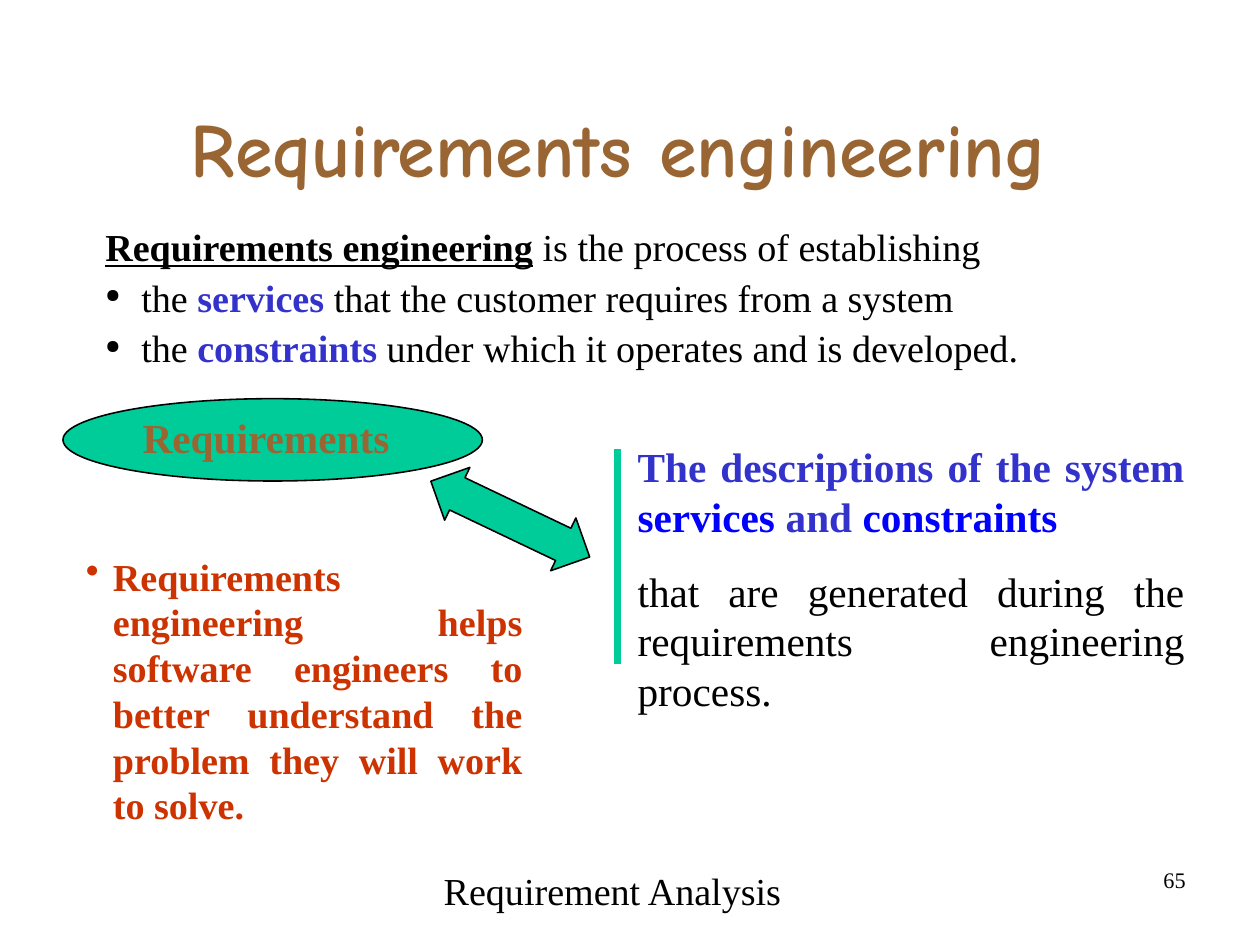
from dataclasses import dataclass

from lxml.etree import SubElement
from pptx import Presentation
from pptx.dml.color import RGBColor
from pptx.enum.shapes import MSO_CONNECTOR as Connector, MSO_SHAPE as Shape
from pptx.enum.text import MSO_ANCHOR as Anchor, MSO_AUTO_SIZE as AutoSize, PP_ALIGN as Align
from pptx.oxml.ns import qn
from pptx.util import Cm, Pt


@dataclass(frozen=True)
class Theme:
    black: str = "000000"
    brown: str = "996633"
    teal: str = "00CC99"
    indigo: str = "3333CC"
    blue: str = "0000FF"
    red: str = "CC3300"
    body_font: str = "Times New Roman"
    title_font: str = "Comic Neue"
    title_size: int = 48
    callout_size: int = 26
    body_size: int = 24
    number_size: int = 14


def add_run(paragraph, text, *, size, font, color, bold=False, underline=False):
    run = paragraph.add_run()
    run.text = text
    run.font.size = Pt(size)
    run.font.name = font
    run.font.bold = bold
    run.font.underline = underline
    run.font.color.rgb = RGBColor.from_string(color)


def add_bullet(paragraph, mark, color, indent, percent):
    props = paragraph._p.get_or_add_pPr()
    props.set("marL", str(Cm(indent)))
    props.set("indent", str(-Cm(indent)))
    SubElement(SubElement(props, qn("a:buClr")), qn("a:srgbClr"), val=color)
    SubElement(props, qn("a:buSzPct"), val=str(percent * 1000))
    SubElement(props, qn("a:buChar"), char=mark)


class SlideBuilder:
    def __init__(self, slide, theme):
        self.slide = slide
        self.theme = theme

    def fill_frame(self, frame, paragraphs, *, size, font=None, align=Align.LEFT,
                   before=0, spacing=1.0, insets=(0.25, 0.13)):
        frame.word_wrap = True
        frame.margin_left = frame.margin_right = Cm(insets[0])
        frame.margin_top = frame.margin_bottom = Cm(insets[1])
        for index, (runs, bullet) in enumerate(paragraphs):
            paragraph = frame.add_paragraph() if index else frame.paragraphs[0]
            paragraph.alignment = align
            paragraph.line_spacing = spacing
            paragraph.space_before = Pt(before)
            if bullet:
                add_bullet(paragraph, **bullet)
            for text, style in runs:
                look = {"color": self.theme.black, **style}
                add_run(paragraph, text, size=size, font=font or self.theme.body_font, **look)

    def title(self, text, box):
        heading = self.slide.shapes.title
        heading.left, heading.top, heading.width, heading.height = map(Cm, box)
        frame = heading.text_frame
        frame.auto_size = AutoSize.NONE
        frame.vertical_anchor = Anchor.BOTTOM
        style = {"color": self.theme.brown, "bold": True}
        self.fill_frame(frame, [([(text, style)], None)], size=self.theme.title_size,
                        font=self.theme.title_font, align=Align.CENTER,
                        spacing=0.94, insets=(0.28, 0.13))

    def text(self, paragraphs, box, **layout):
        frame = self.slide.shapes.add_textbox(*map(Cm, box)).text_frame
        self.fill_frame(frame, paragraphs, **layout)

    def shape(self, kind, box, rotation=0, adjustments=()):
        figure = self.slide.shapes.add_shape(kind, *map(Cm, box))
        figure.shadow.inherit = False
        figure.fill.solid()
        figure.fill.fore_color.rgb = RGBColor.from_string(self.theme.teal)
        figure.line.color.rgb = RGBColor.from_string(self.theme.black)
        figure.line.width = Pt(1)
        figure.rotation = rotation
        for index, value in enumerate(adjustments):
            figure.adjustments[index] = value

    def line(self, ends, width):
        rule = self.slide.shapes.add_connector(Connector.STRAIGHT, *map(Cm, ends))
        rule.line.color.rgb = RGBColor.from_string(self.theme.teal)
        rule.line.width = Pt(width)
        SubElement(rule._element.spPr, qn("a:effectLst"))


def main():
    theme = Theme()
    deck = Presentation()
    deck.slide_width, deck.slide_height = Cm(28), Cm(21)
    builder = SlideBuilder(deck.slides.add_slide(deck.slide_layouts[5]), theme)

    key_term = {"color": theme.indigo, "bold": True}
    highlight = {"color": theme.blue, "bold": True}
    warning = {"color": theme.red, "bold": True}
    point = {"mark": "●", "color": theme.black, "indent": 0.8, "percent": 50}
    benefit = {"mark": "•", "color": theme.red, "indent": 0.6, "percent": 100}
    wide_insets = (0.28, 0.15)

    builder.title("Requirements engineering", (1.85, 2.11, 23.8, 2.34))
    builder.text([([("65", {})], None)], (20.07, 19.13, 6.53, 1.45),
                 size=theme.number_size, align=Align.RIGHT)
    builder.text([([("Requirement Analysis", {})], None)], (9.58, 19.13, 8.86, 1.45),
                 size=theme.body_size, insets=wide_insets)

    definition = [
        ([("Requirements engineering", {"bold": True, "underline": True}),
          (" is the process of establishing", {})], None),
        ([("the ", {}), ("services ", key_term),
          ("that the customer requires from a system", {})], point),
        ([("the ", {}), ("constraints", key_term),
          (" under which it operates and is developed.", {})], point),
    ]
    builder.text(definition, (2.06, 4.93, 23.62, 3.45), size=theme.body_size,
                 align=Align.JUSTIFY, before=6, spacing=0.9, insets=wide_insets)

    builder.shape(Shape.OVAL, (1.4, 8.86, 9.32, 1.83))
    builder.text([([("Requirements", {"color": theme.brown, "bold": True})], None)],
                 (2.92, 9.04, 7.14, 1.37), size=theme.callout_size, before=16.2)
    builder.shape(Shape.UP_DOWN_ARROW, (10.69, 9.58, 1.3, 3.91),
                  rotation=295.5, adjustments=(0.5, 0.61))

    description = [
        ([("The descriptions of the system ", key_term), ("services ", highlight),
          ("and ", key_term), ("constraints", highlight)], None),
        ([("that are generated during the requirements engineering process.", {})], None),
    ]
    builder.text(description, (13.92, 9.68, 12.67, 6.32), size=theme.callout_size,
                 align=Align.JUSTIFY, before=16.2)
    builder.line((13.72, 9.98, 13.72, 14.76), 4.5)

    purpose = ("Requirements engineering helps software engineers to better "
               "understand the problem they will work to solve.")
    builder.text([([(purpose, warning)], benefit)], (1.63, 12.14, 10.26, 5.36),
                 size=theme.body_size, align=Align.JUSTIFY, before=6, insets=wide_insets)

    deck.save("out.pptx")


if __name__ == "__main__":
    main()
